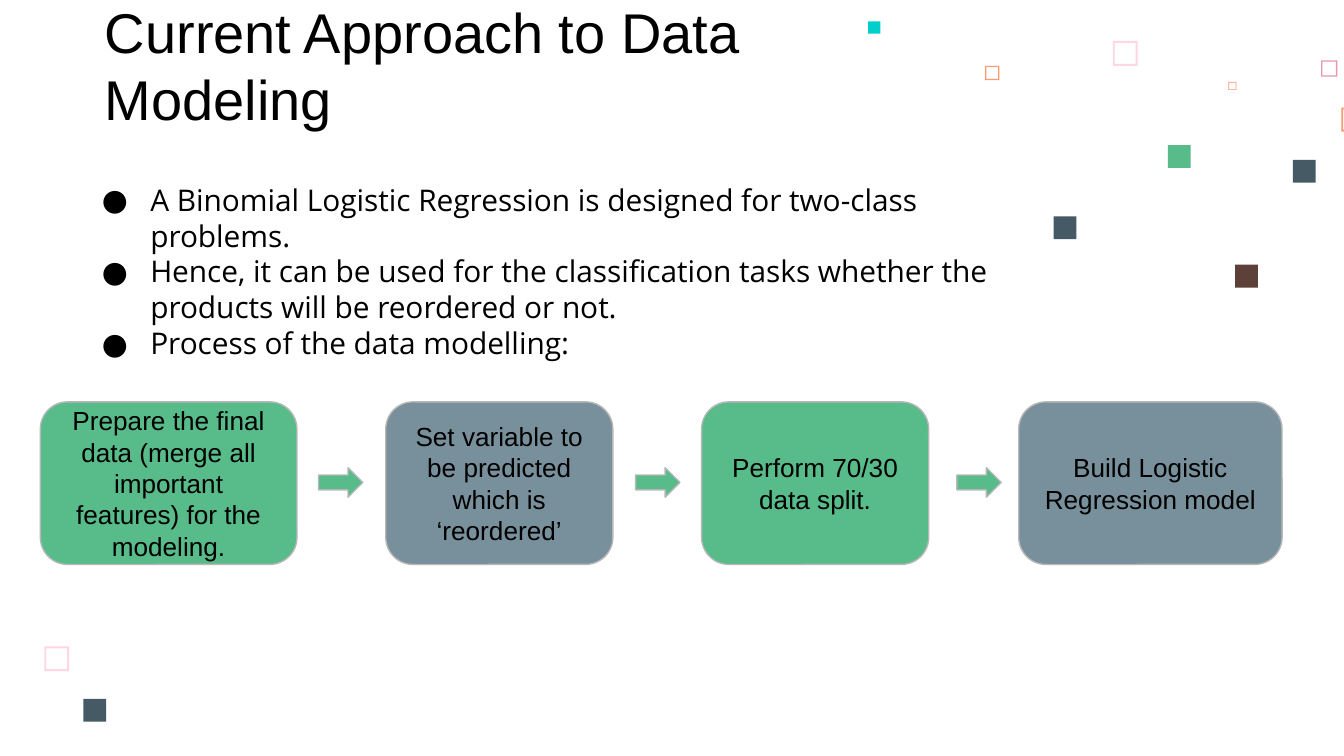
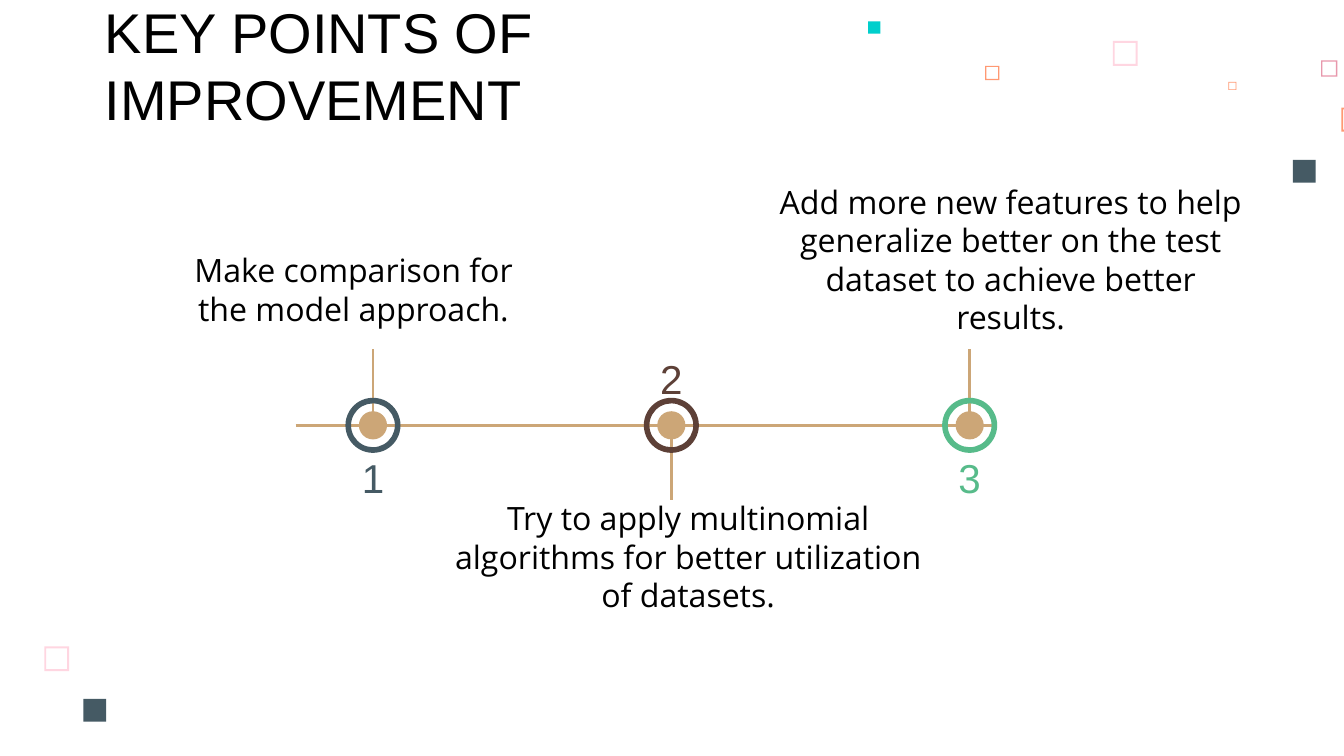
from lxml.etree import SubElement
from pptx import Presentation
from pptx.dml.color import RGBColor
from pptx.enum.shapes import MSO_CONNECTOR, MSO_SHAPE
from pptx.enum.text import MSO_ANCHOR, MSO_AUTO_SIZE, PP_ALIGN
from pptx.oxml.ns import qn
from pptx.util import Inches, Pt

SLIDE_WIDTH, SLIDE_HEIGHT = Inches(10), Inches(5.625)
UNIT = SLIDE_WIDTH / 100
TITLE_ONLY = 5
HEADING_FONT, BODY_FONT = "Arial", "Open Sans"

BLACK = RGBColor(0x00, 0x00, 0x00)
GREEN = RGBColor(0x57, 0xBB, 0x8A)
SLATE = RGBColor(0x45, 0x5A, 0x64)
STEEL = RGBColor(0x78, 0x90, 0x9C)
BROWN = RGBColor(0x5D, 0x40, 0x37)
SAND = RGBColor(0xCC, 0xA6, 0x77)
GREY = RGBColor(0xB7, 0xB7, 0xB7)
PINK = RGBColor(0xFF, 0xD6, 0xE1)
ROSE = RGBColor(0xE8, 0x98, 0xAC)
ORANGE = RGBColor(0xFF, 0x99, 0x73)
CYAN = RGBColor(0x00, 0xCF, 0xCC)

HOLLOW_CONFETTI = [
    (82.8, 3.05, 1.85, PINK),
    (98.3, 4.5, 1.2, ROSE),
    (91.4, 6.1, 0.6, ORANGE),
    (99.8, 8, 1.8, ORANGE),
    (73.3, 4.9, 1.05, ORANGE),
    (3.3, 48.1, 1.85, PINK),
]
SOLID_CONFETTI = [
    (96.2, 11.9, 1.7, SLATE),
    (64.6, 1.6, 0.9, CYAN),
    (6.2, 52, 1.7, SLATE),
]
MODELING_CONFETTI = [
    (78.4, 16.1, 1.7, SLATE),
    (86.9, 10.8, 1.7, GREEN),
    (91.9, 19.7, 1.7, BROWN),
]
APPROACH = [
    "A Binomial Logistic Regression is designed for two-class problems.",
    "Hence, it can be used for the classification tasks whether the "
    "products will be reordered or not.",
    "Process of the data modelling:",
]
STEPS = [
    (3, 19.1, GREEN, "Prepare the final data (merge all important features) for the modeling."),
    (28.7, 16.9, STEEL, "Set variable to be predicted which is ‘reordered’"),
    (52.2, 16.9, GREEN, "Perform 70/30 data split."),
    (75.8, 19.6, STEEL, "Build Logistic Regression model"),
]
STEP_ARROWS = [23.7, 47.3, 71.2]
MILESTONES = [
    (SLATE, 33.2, 26, (11.7, 20.7, 29.2, 4.7), "Make comparison for the model approach."),
    (BROWN, 25.8, 32.2, (32.3, 37.9, 37.8, 8.8),
     "Try to apply multinomial algorithms for better utilization of datasets."),
    (GREEN, 33.2, 26, (57, 12.8, 36.4, 13.2),
     "Add more new features to help generalize better on the test dataset "
     "to achieve better results."),
]
FIRST_MILESTONE, MILESTONE_PITCH, AXIS_ROW = 27.75, 22.2, 31.65


def grid(*units):
    """Turn grid units, each a hundredth of the slide's width, into lengths."""
    return [round(unit * UNIT) for unit in units]


def write(frame, paragraphs, font, size, color=BLACK, align=PP_ALIGN.LEFT, anchor=MSO_ANCHOR.TOP):
    """Fill a text frame with equally styled paragraphs."""
    frame.text = "\n".join(paragraphs)
    frame.word_wrap = True
    frame.auto_size = MSO_AUTO_SIZE.NONE
    frame.vertical_anchor = anchor
    frame.margin_left = frame.margin_right = frame.margin_top = frame.margin_bottom = Inches(0.1)
    for paragraph in frame.paragraphs:
        paragraph.alignment = align
        for run in paragraph.runs:
            run.font.name = font
            run.font.size = Pt(size)
            run.font.color.rgb = color


def add_figure(slide, preset, box, fill, outline=None, adjustment=None):
    """Draw a flat preset shape, with a thin outline if a colour is given."""
    figure = slide.shapes.add_shape(preset, *grid(*box))
    figure.shadow.inherit = False
    figure.fill.solid()
    figure.fill.fore_color.rgb = fill
    if outline is None:
        figure.line.fill.background()
    else:
        figure.line.color.rgb = outline
        figure.line.width = Pt(0.75)
    if adjustment is not None:
        figure.adjustments[0] = adjustment
    return figure


def add_confetti(slide, hollow, solid):
    """Scatter hollow and solid squares over the slide."""
    for left, top, side, color in hollow:
        add_figure(slide, MSO_SHAPE.FRAME, (left, top, side, side), color, adjustment=0.08)
    for left, top, side, color in solid:
        add_figure(slide, MSO_SHAPE.RECTANGLE, (left, top, side, side), color)


def add_titled_slide(deck, title):
    """Start a slide with the shared confetti and title style."""
    slide = deck.slides.add_slide(deck.slide_layouts[TITLE_ONLY])
    heading = slide.shapes.title
    heading.left, heading.top, heading.width, heading.height = grid(6.8, 4.5, 51.7, 6.3)
    write(heading.text_frame, [title], HEADING_FONT, 30, anchor=MSO_ANCHOR.BOTTOM)
    add_confetti(slide, HOLLOW_CONFETTI, SOLID_CONFETTI)
    return slide


def add_caption(slide, box, text, font, size, color=BLACK, anchor=MSO_ANCHOR.BOTTOM):
    """Place a centred text box."""
    caption = slide.shapes.add_textbox(*grid(*box))
    write(caption.text_frame, [text], font, size, color, PP_ALIGN.CENTER, anchor)


def add_bullets(slide, box, points):
    """Place a text box with round bullets and hanging indents."""
    bullets = slide.shapes.add_textbox(*grid(*box))
    write(bullets.text_frame, points, BODY_FONT, 16)
    for paragraph in bullets.text_frame.paragraphs:
        properties = paragraph._p.get_or_add_pPr()
        properties.set("marL", str(Inches(0.5)))
        properties.set("indent", str(Inches(-0.36)))
        bullet_color = SubElement(properties, qn("a:buClr"))
        SubElement(bullet_color, qn("a:srgbClr"), val=str(BLACK))
        SubElement(properties, qn("a:buFont"), typeface=BODY_FONT)
        SubElement(properties, qn("a:buChar"), char="●")


def add_rule(slide, start_x, start_y, end_x, end_y):
    """Draw a straight sand-coloured line."""
    ends = grid(start_x, start_y, end_x, end_y)
    rule = slide.shapes.add_connector(MSO_CONNECTOR.STRAIGHT, *ends)
    rule.line.color.rgb = SAND
    rule.line.width = Pt(1.5)
    SubElement(rule._element.spPr, qn("a:effectLst"))


def add_step(slide, left, width, fill, text):
    """Draw one rounded card of the process."""
    card = add_figure(slide, MSO_SHAPE.ROUNDED_RECTANGLE, (left, 29.9, width, 12.1),
                      fill, GREY, 0.167)
    write(card.text_frame, [text], HEADING_FONT, 14,
          align=PP_ALIGN.CENTER, anchor=MSO_ANCHOR.MIDDLE)


def add_node(slide, center, color):
    """Draw a dot inside a ring on the timeline."""
    for preset, size, fill, thickness in [
        (MSO_SHAPE.OVAL, 2.1, SAND, None),
        (MSO_SHAPE.DONUT, 4.1, color, 0.102),
    ]:
        box = (center - size / 2, AXIS_ROW - size / 2, size, size)
        add_figure(slide, preset, box, fill, adjustment=thickness)


def build_modeling(deck):
    """Build the slide on the modeling approach."""
    slide = add_titled_slide(deck, "Current Approach to Data Modeling")
    add_confetti(slide, [], MODELING_CONFETTI)
    add_bullets(slide, (5.2, 12.5, 73.6, 17.8), APPROACH)
    for step in STEPS:
        add_step(slide, *step)
    for left in STEP_ARROWS:
        add_figure(slide, MSO_SHAPE.RIGHT_ARROW, (left, 34.8, 3.3, 2.2), GREEN, GREY)


def build_improvement(deck):
    """Build the timeline of improvements."""
    slide = add_titled_slide(deck, "KEY POINTS OF IMPROVEMENT")
    add_rule(slide, 22, AXIS_ROW, 74.2, AXIS_ROW)
    for index, (color, number_top, stem_top, caption_box, text) in enumerate(MILESTONES):
        center = FIRST_MILESTONE + index * MILESTONE_PITCH
        add_rule(slide, center, stem_top, center, stem_top + 5)
        add_node(slide, center, color)
        add_caption(slide, (center - 7.05, number_top, 14.1, 4.7), str(index + 1),
                    HEADING_FONT, 21.6, color, MSO_ANCHOR.MIDDLE)
        add_caption(slide, caption_box, text, BODY_FONT, 17.2)


def main():
    """Build and save the deck."""
    deck = Presentation()
    deck.slide_width, deck.slide_height = SLIDE_WIDTH, SLIDE_HEIGHT
    build_modeling(deck)
    build_improvement(deck)
    deck.save("out.pptx")


if __name__ == "__main__":
    main()
